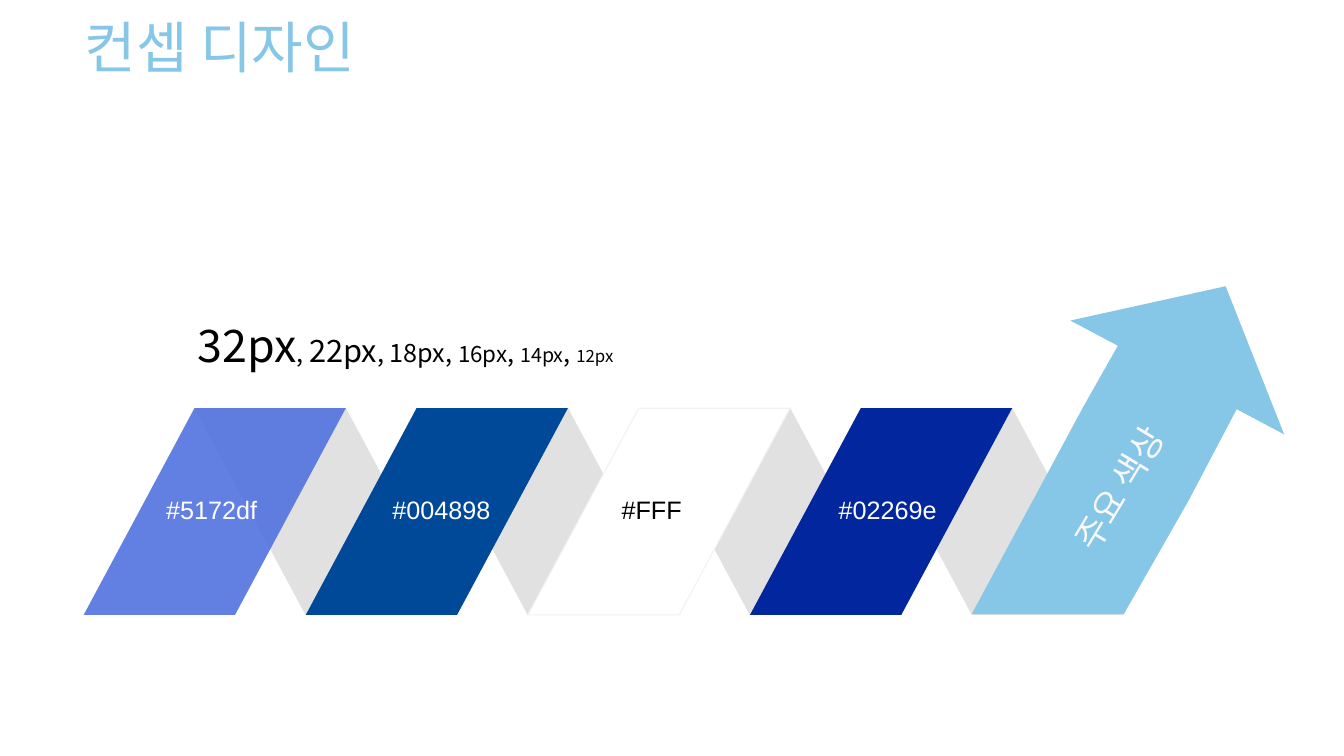
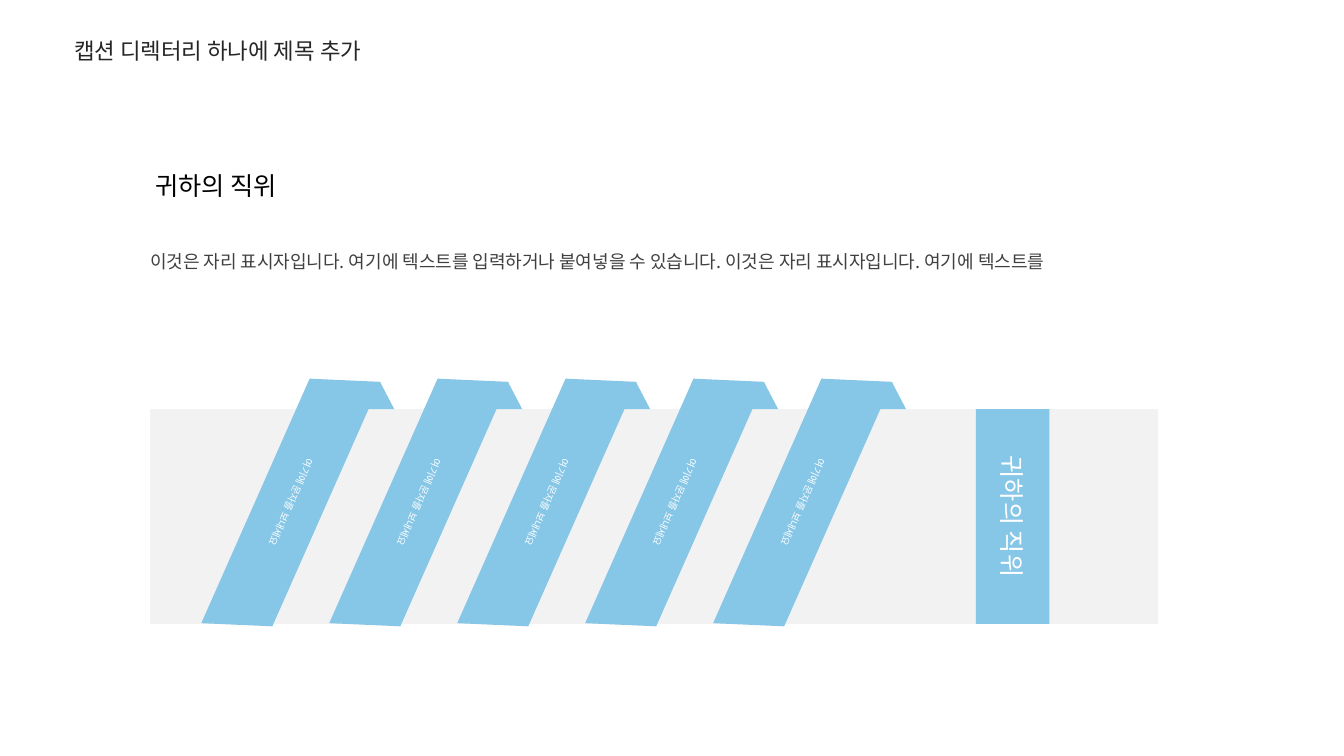
from dataclasses import dataclass
from typing import Optional

from lxml.etree import SubElement as add_node
from pptx import Presentation
from pptx.dml.color import RGBColor
from pptx.enum.shapes import MSO_SHAPE as Kind
from pptx.enum.text import MSO_ANCHOR as Anchor, PP_ALIGN as Align
from pptx.oxml.ns import qn
from pptx.shapes.autoshape import Shape
from pptx.slide import Slide
from pptx.text.text import TextFrame, _Run as Run
from pptx.util import Pt

SKY = RGBColor(0x86, 0xC6, 0xE6)
WHITE = RGBColor(0xFF, 0xFF, 0xFF)
BLACK = RGBColor(0, 0, 0)
CLOUD = RGBColor(0xF8, 0xF8, 0xF8)
MIST = RGBColor(0xF2, 0xF2, 0xF2)
GRAY = RGBColor(0xD9, 0xD9, 0xD9)
DARK = RGBColor(0x26, 0x26, 0x26)
SLATE = RGBColor(0x40, 0x40, 0x40)
KOREAN = "Noto Sans CJK KR"
LATIN = "Noto Sans CJK SC"

Point = tuple[float, float]


@dataclass(frozen=True)
class Box:
    left: float
    top: float
    width: float
    height: float

    def size(self) -> tuple[int, int, int, int]:
        return Pt(self.left), Pt(self.top), Pt(self.width), Pt(self.height)


@dataclass(frozen=True)
class Style:
    size: float
    color: RGBColor
    font: str = KOREAN
    align: Align = Align.LEFT
    lead: Optional[float] = None


@dataclass(frozen=True)
class Swatch:
    code: str
    fill: RGBColor
    inset: float
    ink: RGBColor = WHITE
    edge: Optional[RGBColor] = None
    alpha: int = 100


SWATCHES = [
    Swatch("#5172df", RGBColor(0x51, 0x72, 0xDF), 51.8, alpha=90),
    Swatch("#004898", RGBColor(0x00, 0x48, 0x98), 54.7),
    Swatch("#FFF", WHITE, 59.8, BLACK, MIST),
    Swatch("#02269e", RGBColor(0x02, 0x26, 0x9E), 56.2),
]
SIZES = [
    ("32px", 32), (", ", 18), ("22px", 22), (", 18px, ", 18), ("16px", 16),
    (", ", 18), ("14px", 14), (", ", 18), ("12px", 12),
]
ARROW = [
    (875.5, 204.5), (917.3, 310.3), (883.4, 292.3), (848.9, 357.8),
    (802.8, 438.7), (694.1, 438.7), (773.3, 291.6), (798.5, 247), (764.6, 229),
]
RIBBON = [(184.2, 272.7), (231.5, 254.2), (231.5, 445.2), (184.2, 463.7)]
SWATCH_LEFT, SWATCH_TOP, SWATCH_STEP = 59.8, 291.6, 158.65
RIBBON_STEP, RIBBONS = 91.4, 5


def format_run(run: Run, style: Style) -> None:
    run.font.size = Pt(style.size)
    run.font.name = style.font
    run.font.color.rgb = style.color
    add_node(run._r.get_or_add_rPr(), qn("a:ea"), typeface=style.font)


def write(frame: TextFrame, text: str, style: Style) -> None:
    frame.text = text
    frame.word_wrap = True
    line = frame.paragraphs[0]
    line.alignment = style.align
    if style.lead:
        line.line_spacing = style.lead
    for run in line.runs:
        format_run(run, style)


def add_text(slide: Slide, box: Box, text: str, style: Style) -> None:
    write(slide.shapes.add_textbox(*box.size()).text_frame, text, style)


def add_title(slide: Slide, box: Box, text: str, style: Style) -> None:
    add_text(slide, box, text, style)


def paint(shape: Shape, fill: RGBColor, edge: Optional[RGBColor] = None,
          alpha: int = 100) -> Shape:
    shape.shadow.inherit = False
    shape.fill.solid()
    shape.fill.fore_color.rgb = fill
    if alpha < 100:
        tint = shape._element.spPr.find(qn("a:solidFill"))[0]
        add_node(tint, qn("a:alpha"), val=str(alpha * 1000))
    if edge is None:
        shape.line.fill.background()
    else:
        shape.line.color.rgb = edge
        shape.line.width = Pt(0.75)
    return shape


def add_block(slide: Slide, kind: Kind, box: Box, fill: RGBColor,
              edge: Optional[RGBColor] = None, alpha: int = 100) -> Shape:
    shape = slide.shapes.add_shape(kind, *box.size())
    return paint(shape, fill, edge, alpha)


def add_slant(slide: Slide, left: float, fill: RGBColor,
              edge: Optional[RGBColor] = None, alpha: int = 100) -> Shape:
    box = Box(left, SWATCH_TOP, 187.2, 147.6)
    shape = add_block(slide, Kind.PARALLELOGRAM, box, fill, edge, alpha)
    shape.adjustments[0] = 0.536
    return shape


def add_form(slide: Slide, points: list[Point], fill: RGBColor) -> Shape:
    spots = [(Pt(x), Pt(y)) for x, y in points]
    pen = slide.shapes.build_freeform(*spots[0])
    pen.add_line_segments(spots[1:], close=True)
    return paint(pen.convert_to_shape(), fill)


def write_down(shape: Shape, text: str, size: float) -> None:
    frame = shape.text_frame
    write(frame, text, Style(size, WHITE, align=Align.CENTER))
    frame.vertical_anchor = Anchor.MIDDLE
    frame._txBody.bodyPr.set("vert", "vert")


def add_ribbon(slide: Slide, shift: float) -> None:
    add_block(slide, Kind.ISOSCELES_TRIANGLE,
              Box(261.4 + shift, 272.9, 20.2, 19.4), SKY)
    band = add_form(slide, [(x + shift, y) for x, y in RIBBON], SKY)
    band.rotation = 23.9
    write_down(band, "여기에 문자를 보내세요", 7)


def draw_colors(slide: Slide) -> None:
    lefts = [SWATCH_LEFT + i * SWATCH_STEP for i in range(len(SWATCHES))]
    for left in lefts:
        fold = add_slant(slide, left + SWATCH_STEP / 2, GRAY, alpha=78)
        fold._element.spPr.xfrm.set("flipH", "1")
    for left, item in zip(lefts, SWATCHES):
        add_slant(slide, left, item.fill, item.edge, item.alpha)
        add_text(slide, Box(left + item.inset, 349.2, 95, 31.7), item.code,
                 Style(18, item.ink, "Arial"))

    add_form(slide, ARROW, SKY)
    label = add_block(slide, Kind.RECTANGLE, Box(739.4, 323.3, 127.4, 37.4), SKY)
    label.rotation = 301.1
    write(label.text_frame, "주요 색상", Style(25, CLOUD))
    label.text_frame.vertical_anchor = Anchor.TOP

    sample = slide.shapes.add_textbox(*Box(133.9, 223.2, 504.7, 54).size())
    sample.text_frame.word_wrap = True
    for text, size in SIZES:
        run = sample.text_frame.paragraphs[0].add_run()
        run.text = text
        format_run(run, Style(size, BLACK, LATIN))
    add_title(slide, Box(5.8, 18.7, 302.4, 41), "컨셉 디자인",
              Style(40, SKY, align=Align.CENTER, lead=0.7))


def draw_ribbons(slide: Slide) -> None:
    add_block(slide, Kind.RECTANGLE, Box(107.3, 292.3, 720, 153.4), MIST)
    add_text(slide, Box(103.7, 118.1, 130, 28.8), "귀하의 직위", Style(18, BLACK))
    add_text(slide, Box(100.1, 172.1, 751.7, 26.6),
             "이것은 자리 표시자입니다. 여기에 텍스트를 입력하거나 붙여넣을 수 있습니다. "
             "이것은 자리 표시자입니다. 여기에 텍스트를", Style(12.9, SLATE, lead=1.2))
    post = add_block(slide, Kind.RECTANGLE, Box(697, 292.3, 52.6, 153.4), SKY)
    write_down(post, "귀하의 직위", 18)
    for i in range(RIBBONS):
        add_ribbon(slide, i * RIBBON_STEP)
    add_title(slide, Box(4.3, 23, 302.4, 26.6), "캡션 디렉터리 하나에 제목 추가",
              Style(16, DARK, align=Align.CENTER))


def main() -> None:
    deck = Presentation()
    deck.slide_width, deck.slide_height = Pt(960), Pt(540)
    for draw in (draw_colors, draw_ribbons):
        draw(deck.slides.add_slide(deck.slide_layouts[6]))
    deck.save("out.pptx")


if __name__ == "__main__":
    main()
